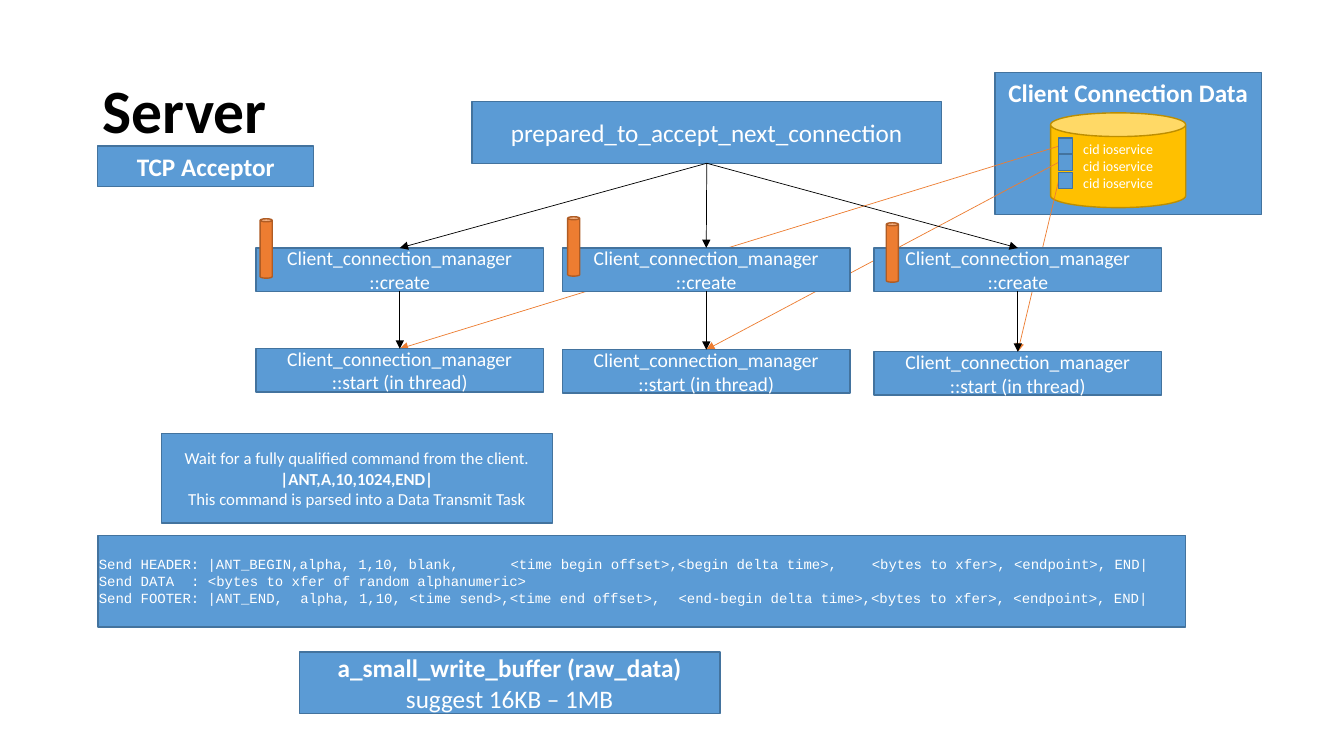
from dataclasses import dataclass
from typing import Any

from lxml import etree
from pptx import Presentation
from pptx import util as u
from pptx.dml.color import RGBColor
from pptx.enum import shapes, text
from pptx.oxml.ns import qn

BLUE, EDGE = "5B9BD5", "43739E"
GOLD, BRONZE = "FFC000", "BD8E00"
ORANGE, RUST = "ED7D31", "AF5C24"
WHITE, BLACK = "FFFFFF", "000000"
RECT, CAN = shapes.MSO_SHAPE.RECTANGLE, shapes.MSO_SHAPE.CAN
MID, TOP = text.MSO_ANCHOR.MIDDLE, text.MSO_ANCHOR.TOP
LEFT, CENTER = text.PP_ALIGN.LEFT, text.PP_ALIGN.CENTER
WIDE, TALL, MAKE = 2.85, 0.43, 2.46
SLOT, SIDE = 10.5, 0.16
STOPS = (11, 24, 49, 69, 92)


@dataclass(frozen=True)
class Box:
    left: float
    top: float
    width: float
    height: float
    lines: tuple[str, ...] = ()
    size: float = 18
    bold: tuple[int, ...] = ()
    kind: Any = RECT
    fill: str = BLUE
    edge: str = EDGE
    anchor: Any = MID
    align: Any = CENTER
    font: str = "Calibri"
    inset: float | None = None
    stops: tuple[int, ...] = ()


@dataclass(frozen=True)
class Client:
    left: float
    start: float
    pipe: tuple[float, float]
    slot: float

    @property
    def mid(self) -> float:
        return self.left + WIDE / 2


def paint(value: str) -> RGBColor:
    return RGBColor.from_string(value)


def apply(target: Any, form: dict[str, Any]) -> None:
    for name, value in form.items():
        setattr(target, name, value)


def write(frame: Any, box: Box, color: str = WHITE) -> None:
    apply(frame, {"word_wrap": True, "vertical_anchor": box.anchor})
    if box.inset is not None:
        sides = ("left", "top", "right", "bottom")
        apply(frame, {f"margin_{side}": u.Inches(box.inset) for side in sides})
    for row, line in enumerate(box.lines):
        para = frame.add_paragraph() if row else frame.paragraphs[0]
        para.alignment = box.align
        run = para.add_run()
        run.text = line
        apply(run.font, {"name": box.font, "size": u.Pt(box.size), "bold": row in box.bold})
        run.font.color.rgb = paint(color)
        if box.stops:
            tabs = etree.SubElement(para._p.get_or_add_pPr(), qn("a:tabLst"))
            for stop in box.stops:
                place = str(u.Inches(stop * box.size * 0.6 / 72))
                etree.SubElement(tabs, qn("a:tab"), pos=place, algn="l")


def draw(slide: Any, box: Box) -> None:
    spot = (u.Inches(side) for side in (box.left, box.top, box.width, box.height))
    shape = slide.shapes.add_shape(box.kind, *spot)
    shape.shadow.inherit = False
    shape.fill.solid()
    shape.fill.fore_color.rgb = paint(box.fill)
    shape.line.color.rgb = paint(box.edge)
    shape.line.width = u.Pt(1)
    if box.lines:
        write(shape.text_frame, box)


def link(slide: Any, start: tuple[float, float], end: tuple[float, float], color: str) -> None:
    ends = (u.Inches(side) for side in (*start, *end))
    line = slide.shapes.add_connector(shapes.MSO_CONNECTOR.STRAIGHT, *ends)
    line.line.color.rgb = paint(color)
    line.line.width = u.Pt(0.5)
    etree.SubElement(line.line._get_or_add_ln(), qn("a:tailEnd"), type="triangle")
    etree.SubElement(line._element.spPr, qn("a:effectLst"))


clients = (
    Client(2.54, 3.46, (2.58, 2.17), 1.37),
    Client(5.58, 3.47, (5.63, 2.15), 1.53),
    Client(8.67, 3.49, (8.79, 2.21), 1.71),
)
store = (
    Box(9.87, 0.72, 2.64, 1.41, ("Client Connection Data",), bold=(0,), anchor=TOP),
    Box(10.42, 1.12, 1.34, 0.94, ("cid ioservice",) * 3, 10, kind=CAN, fill=GOLD, edge=BRONZE),
)
accept = Box(4.68, 1.01, 4.66, 0.61, ("prepared_to_accept_next_connection",))
steps = (
    accept,
    Box(0.97, 1.45, 2.14, 0.4, ("TCP Acceptor",), bold=(0,)),
    Box(2.97, 6.47, 4.17, 0.61,
        ("a_small_write_buffer (raw_data)", "suggest 16KB – 1MB"), bold=(0,)),
    Box(1.6, 4.3, 3.88, 0.89,
        ("Wait for a fully qualified command from the client.",
         "|ANT,A,10,1024,END|",
         "This command is parsed into a Data Transmit Task"), 12, bold=(1,)),
    Box(0.97, 5.31, 10.79, 0.91,
        ("Send HEADER: |ANT_BEGIN,alpha, 1,10, blank,\t<time begin offset>,"
         "<begin delta time>,\t<bytes to xfer>, <endpoint>, END|",
         "Send DATA\t: <bytes to xfer of random alphanumeric>",
         "Send FOOTER: |ANT_END,\talpha, 1,10, <time send>,<time end offset>,"
         "\t<end-begin delta time>,<bytes to xfer>, <endpoint>, END|"),
        10, align=LEFT, font="Courier New", inset=0.01, stops=STOPS),
)

deck = Presentation()
apply(deck, {"slide_width": u.Inches(13.33), "slide_height": u.Inches(7.5)})
slide = deck.slides.add_slide(deck.slide_layouts[5])

head = Box(0.92, 0.4, 11.5, 1.45, ("Server",), 44, bold=(0,), align=LEFT)
title = slide.shapes.title
apply(title, {name: u.Inches(getattr(head, name)) for name in ("left", "top", "width", "height")})
write(title.text_frame, head, BLACK)
title.text_frame.paragraphs[0].line_spacing = 0.9

for box in store:
    draw(slide, box)
for client in clients:
    link(slide, (SLOT, client.slot + SIDE / 2), (client.mid, client.start), ORANGE)
for box in steps:
    draw(slide, box)

hub = (accept.left + accept.width / 2, accept.top + accept.height)
for client in clients:
    name = "Client_connection_manager"
    draw(slide, Box(client.left, MAKE, WIDE, TALL, (name, "::create"), 14))
    draw(slide, Box(client.left, client.start, WIDE, TALL, (name, "::start (in thread)"), 14))
    draw(slide, Box(*client.pipe, 0.12, 0.59, kind=CAN, fill=ORANGE, edge=RUST))
    draw(slide, Box(SLOT, client.slot, 0.14, SIDE))
for client in clients:
    link(slide, hub, (client.mid, MAKE), BLACK)
    link(slide, (client.mid, MAKE + TALL), (client.mid, client.start), BLACK)

deck.save("out.pptx")
